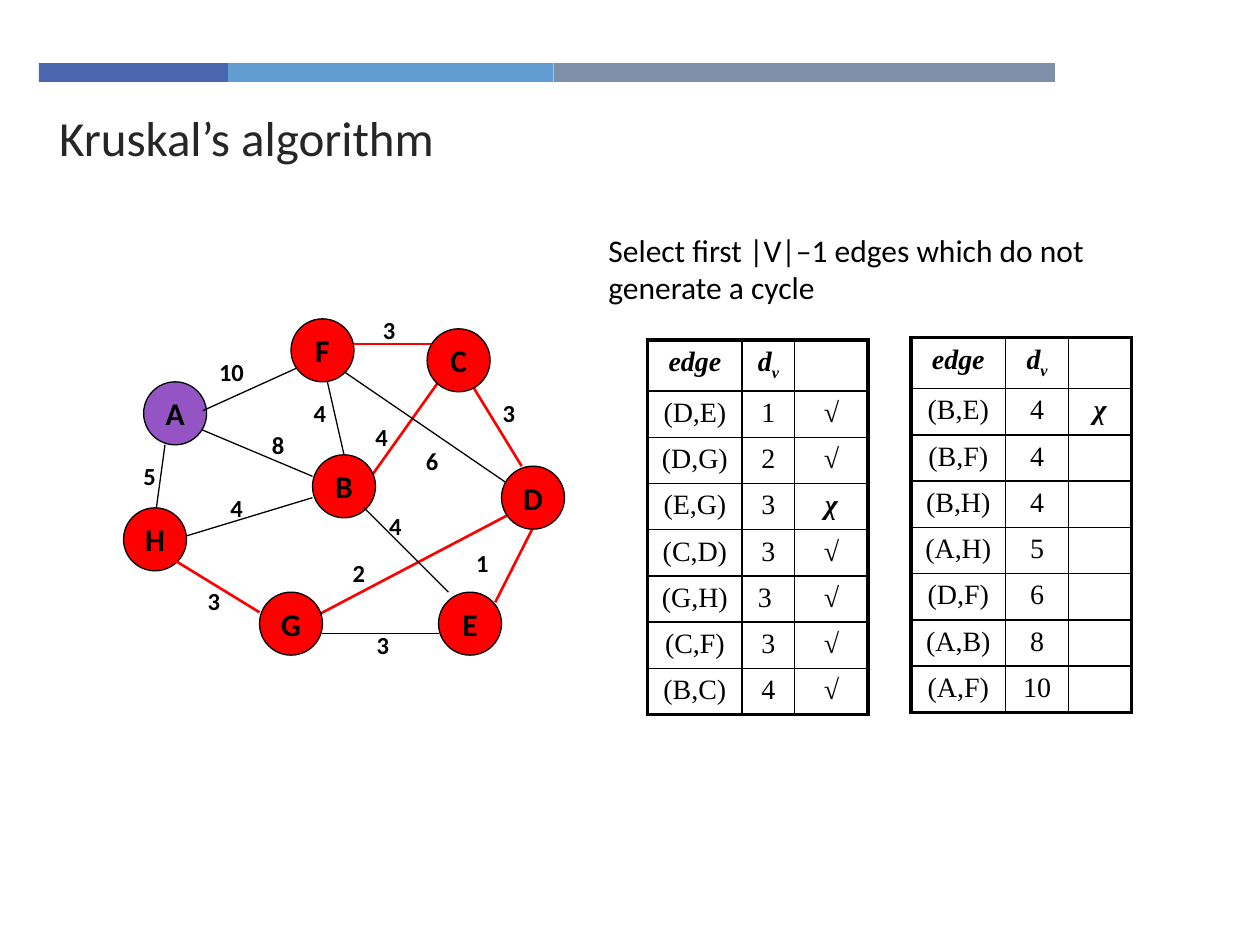
from lxml import etree
from pptx import Presentation
from pptx.dml.color import RGBColor
from pptx.enum import shapes, text
from pptx.oxml import ns
from pptx.util import Pt

COLORS = {
    "ink": "000000", "title": "262626", "red": "FF0000", "purple": "9454C3",
    "navy": "4A66AC", "sky": "629DD1", "slate": "7F8FA9",
}
HEADING = "Kruskal’s algorithm"
RULE = "Select first |V|–1 edges which do not generate a cycle"
BANDS = [("navy", 108), ("sky", 186), ("slate", 286.5)]
NODE_SIZE = 36
NODES = {
    "A": (82.1, 218.2), "H": (70.6, 290.2), "B": (178.6, 259.9),
    "F": (166.3, 182.2), "E": (250.6, 338.4), "D": (286.6, 266.4),
    "C": (244.1, 187.9), "G": (148.3, 338.4),
}
START = "A"
# start, end, weight, label corner, chosen
EDGES = [
    ((313.2, 284.4), (283, 344.2), "1", (265, 309.6), True),
    ((184.3, 205.9), (196.6, 259.9), "4", (172.1, 223.9), False),
    ((208.1, 277.9), (250.6, 218.2), "4", (207.4, 237.6), True),
    ((292.3, 277.9), (196.6, 212.4), "6", (236.2, 251.3), False),
    ((100.1, 308.2), (178.6, 284.4), "4", (124.6, 277.9), False),
    ((172.1, 356.4), (298.1, 290.2), "2", (194.4, 315.4), True),
    ((88.6, 295.9), (94.3, 254.2), "5", (74.9, 259.9), False),
    ((106.6, 241.9), (178.6, 272.2), "8", (148.3, 241.9), False),
    ((200.2, 196.6), (247.7, 196.6), "3", (211.7, 176.4), True),
    ((268.6, 218.2), (298.1, 266.4), "3", (280.1, 223.9), True),
]
FRONT_EDGES = [
    ((208.1, 290.2), (256.3, 338.4), "4", (215.3, 288.7), False),
    ((250.6, 362.2), (184.3, 362.2), "3", (208.1, 356.4), False),
    ((148.3, 349.9), (100.1, 320.4), "3", (111.6, 331.2), True),
    ((115.9, 234.7), (169.9, 210.2), "10", (118.1, 200.2), False),
]
TABLES = [
    ((370.1, 194.4), (54, 30, 42), [
        ("(D,E)", "1", "√"), ("(D,G)", "2", "√"), ("(E,G)", "3", "χ"),
        ("(C,D)", "3", "√"), ("(G,H)", "3 ", "√"), ("(C,F)", "3", "√"),
        ("(B,C)", "4", "√")]),
    ((520.6, 193), (54, 36, 36), [
        ("(B,E)", "4", "χ"), ("(B,F)", "4", ""), ("(B,H)", "4", ""),
        ("(A,H)", "5", ""), ("(D,F)", "6", ""), ("(A,B)", "8", ""),
        ("(A,F)", "10", "")]),
]
HEADER = ("edge", "d", "")
SUBSCRIPT = "v"
HEADER_HEIGHT, ROW_HEIGHT = 29, 26.4
OUTER, INNER = 2.25, 1


def rgb(name):
    return RGBColor.from_string(COLORS[name])


def write(frame, words, size=18, font="Calibri", color="ink", bold=False,
          italic=False, align=text.PP_ALIGN.LEFT, anchor=text.MSO_ANCHOR.TOP,
          wrap=True, subscript=""):
    frame.word_wrap = wrap
    frame.vertical_anchor = anchor
    paragraph = frame.paragraphs[0]
    paragraph.alignment = align
    paragraph.space_before = Pt(0)
    for part in filter(None, (words, subscript)):
        run = paragraph.add_run()
        run.text = part
        run.font.size = Pt(size)
        run.font.name = font
        run.font.bold = bold
        run.font.italic = italic
        run.font.color.rgb = rgb(color)
    if subscript:
        run.font._element.set("baseline", "-25000")


def add_shape(slide, kind, left, top, width, height, fill):
    shape = slide.shapes.add_shape(kind, Pt(left), Pt(top), Pt(width), Pt(height))
    shape.shadow.inherit = False
    shape.fill.solid()
    shape.fill.fore_color.rgb = rgb(fill)
    return shape


def add_label(slide, words, left, top, width, height, **style):
    box = slide.shapes.add_textbox(Pt(left), Pt(top), Pt(width), Pt(height))
    write(box.text_frame, words, **style)


def add_edges(slide, edges):
    for start, end, _, _, chosen in edges:
        edge = slide.shapes.add_connector(
            shapes.MSO_CONNECTOR.STRAIGHT, *map(Pt, start + end))
        edge.line.color.rgb = rgb("red" if chosen else "ink")
        edge.line.width = Pt(1.5 if chosen else 0.75)
        etree.SubElement(edge._element.spPr, ns.qn("a:effectLst"))


def set_borders(cell, widths):
    properties = cell._tc.get_or_add_tcPr()
    for position, (side, width) in enumerate(widths.items()):
        border = etree.Element(ns.qn(f"a:ln{side}"), w=str(Pt(width)))
        fill = etree.SubElement(border, ns.qn("a:solidFill"))
        etree.SubElement(fill, ns.qn("a:srgbClr"), val=COLORS["ink"])
        properties.insert(position, border)


def add_edge_table(slide, corner, widths, edges):
    rows = [HEADER] + edges
    last_row, last_column = len(rows) - 1, len(widths) - 1
    height = HEADER_HEIGHT + ROW_HEIGHT * last_row
    table = slide.shapes.add_table(
        len(rows), len(widths), *map(Pt, corner), Pt(sum(widths)), Pt(height)).table
    table.first_row = table.horz_banding = False
    for column, width in zip(table.columns, widths):
        column.width = Pt(width)
    for r, row in enumerate(rows):
        table.rows[r].height = Pt(ROW_HEIGHT if r else HEADER_HEIGHT)
        for c, words in enumerate(row):
            cell = table.cell(r, c)
            cell.fill.background()
            cell.margin_left = cell.margin_right = Pt(3.6)
            cell.margin_top = cell.margin_bottom = Pt(3.6 if words else 0)
            strong = r == 0 or c == last_column
            write(cell.text_frame, words, size=16, font="Times New Roman",
                  bold=strong, italic=strong, align=text.PP_ALIGN.CENTER,
                  subscript=SUBSCRIPT if (r, c) == (0, 1) else "")
            set_borders(cell, {
                "L": OUTER if c == 0 else INNER,
                "R": OUTER if c == last_column else INNER,
                "T": OUTER if r == 0 else INNER,
                "B": OUTER if r == last_row else INNER})


def main():
    deck = Presentation()
    deck.slide_width, deck.slide_height = Pt(720), Pt(540)
    slide = deck.slides.add_slide(deck.slide_layouts[5])

    left = 22.3
    for color, width in BANDS:
        band = add_shape(slide, shapes.MSO_SHAPE.RECTANGLE, left, 36, width, 10.8, color)
        band.line.fill.background()
        left += width

    heading = slide.shapes.title
    heading.left, heading.top, heading.width, heading.height = map(
        Pt, (26.6, 57.6, 515.5, 38.9))
    heading.text_frame.auto_size = text.MSO_AUTO_SIZE.NONE
    write(heading.text_frame, HEADING, size=28, color="title")
    add_label(slide, RULE, 340.6, 128.2, 318.2, 55.4)

    add_edges(slide, EDGES)
    for name, (x, y) in NODES.items():
        node = add_shape(slide, shapes.MSO_SHAPE.OVAL, x, y, NODE_SIZE, NODE_SIZE,
                         "purple" if name == START else "red")
        node.line.color.rgb = rgb("ink")
        node.line.width = Pt(0.75)
        write(node.text_frame, name, bold=True, align=text.PP_ALIGN.CENTER,
              anchor=text.MSO_ANCHOR.MIDDLE, wrap=False)
    add_edges(slide, FRONT_EDGES)
    for _, _, weight, corner, _ in EDGES + FRONT_EDGES:
        add_label(slide, weight, *corner, 24 if len(weight) == 1 else 37.4, 24,
                  size=14, bold=True)

    for corner, widths, edges in TABLES:
        add_edge_table(slide, corner, widths, edges)
    deck.save("out.pptx")


if __name__ == "__main__":
    main()
